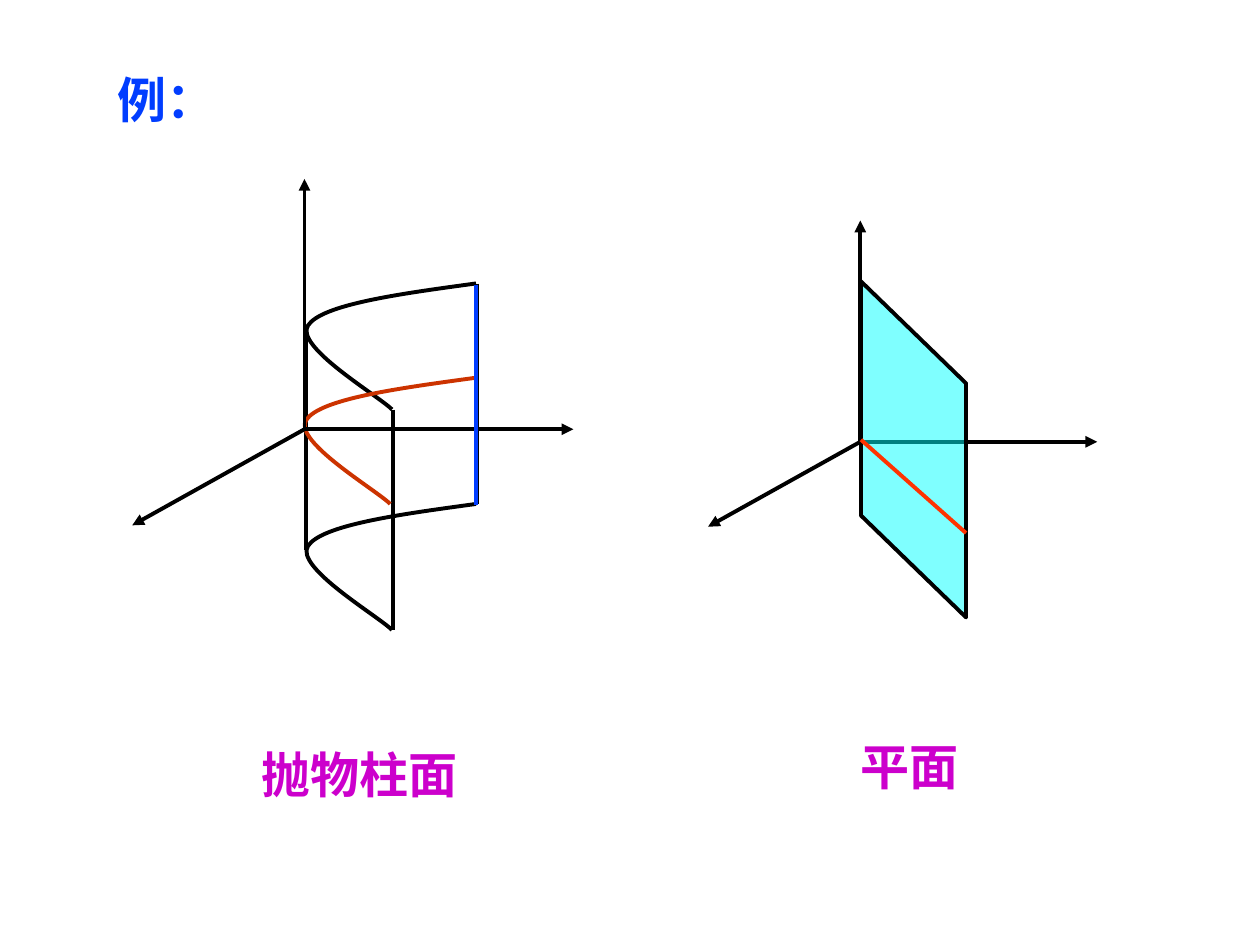
"""Build a slide with sketches of a parabolic cylinder and a plane."""
from lxml.etree import SubElement
from pptx import Presentation
from pptx.dml.color import RGBColor
from pptx.enum.shapes import MSO_CONNECTOR as CONN, MSO_SHAPE as SHAPE
from pptx.enum.text import MSO_AUTO_SIZE as AUTO
from pptx.oxml.ns import qn
from pptx.util import Pt

BLACK, BLUE, PURPLE = "000000", "013DFF", "CC00CC"
RUST, RED, CYAN = "CC3300", "FF3300", "00FFFF"
PARABOLA = [(104, 0), (60, 6), (16, 12), (8, 24), (0, 36), (48, 64), (56, 72)]


def rgb(code):
    return RGBColor.from_string(code)


class Sketch:
    def __init__(self, slide, line_width=2.25, text_size=28):
        self.s = slide
        self.line_width = Pt(line_width)
        self.text_size = Pt(text_size)

    def stroke(self, sp, color):
        sp.line.color.rgb = rgb(color)
        sp.line.width = self.line_width

    def text(self, x, y, w, words, font, color):
        sp = self.s.shapes.add_textbox(Pt(x), Pt(y), Pt(w), Pt(41))
        tf = sp.text_frame
        tf.word_wrap = True
        tf.auto_size = AUTO.SHAPE_TO_FIT_TEXT
        p = tf.paragraphs[0]
        p.text = words
        p.font.name, p.font.size, p.font.bold = font, self.text_size, True
        p.font.color.rgb = rgb(color)

    def line(self, start, end, color=BLACK, arrow=False):
        sp = self.s.shapes.add_connector(CONN.STRAIGHT, *map(Pt, start + end))
        self.stroke(sp, color)
        if arrow:
            SubElement(sp.line._get_or_add_ln(), qn("a:tailEnd"), type="triangle")
        SubElement(sp._element.spPr, qn("a:effectLst"))

    def axes(self, origin, *tips):
        for tip in tips:
            self.line(origin, tip, arrow=True)

    def parabola(self, x, y, color=BLACK):
        points = [(Pt(x + dx), Pt(y + dy)) for dx, dy in PARABOLA]
        builder = self.s.shapes.build_freeform(*points[0])
        builder.add_line_segments(points[1:], close=False)
        sp = builder.convert_to_shape()
        sp.shadow.inherit = False
        sp.fill.background()
        self.stroke(sp, color)
        segments = list(sp._element.iter(qn("a:lnTo")))
        for i in range(0, len(segments), 3):
            curve = SubElement(segments[i].getparent(), qn("a:cubicBezTo"))
            for segment in segments[i:i + 3]:
                curve.append(segment[0])
                segment.getparent().remove(segment)

    def plane(self, x, y, w, h, slant, color, opacity):
        sp = self.s.shapes.add_shape(SHAPE.PARALLELOGRAM, Pt(x), Pt(y), Pt(w), Pt(h))
        sp.rotation = 270
        sp.adjustments[0] = slant
        sp.shadow.inherit = False
        sp.fill.solid()
        sp.fill.fore_color.rgb = rgb(color)
        fill = sp._element.spPr.find(qn("a:solidFill"))
        SubElement(fill[0], qn("a:alpha"), val=str(opacity * 1000))
        self.stroke(sp, BLACK)


def main():
    prs = Presentation()
    prs.slide_width, prs.slide_height = Pt(720), Pt(540)
    sk = Sketch(prs.slides.add_slide(prs.slide_layouts[6]))

    sk.text(60, 36, 192, "例：", "Noto Sans CJK SC", BLUE)

    top, height = 162, 126
    for y in (top, top + height):
        sk.parabola(168, y)
    for x, y in ((224.5, 234), (272.5, top), (175, 188.5)):
        sk.line((x, y), (x, y + height))
    sk.parabola(167, 216, RUST)
    sk.axes((174, 245.3), (174, 102.3), (75.6, 300.2), (327.6, 245.3))
    sk.line((272, 162.7), (272, 288.7), BLUE)

    sk.axes((491.6, 252.5), (491.6, 126), (404.6, 301), (627, 252.5))
    sk.plane(426, 226.8, 192, 60, 0.97, CYAN, 50)
    sk.line((492, 251.3), (552, 304.6), RED)

    sk.text(142.5, 422, 138, "抛物柱面", "Times New Roman", PURPLE)
    sk.text(484.5, 417.6, 84, "平面", "Times New Roman", PURPLE)
    prs.save("out.pptx")


if __name__ == "__main__":
    main()
